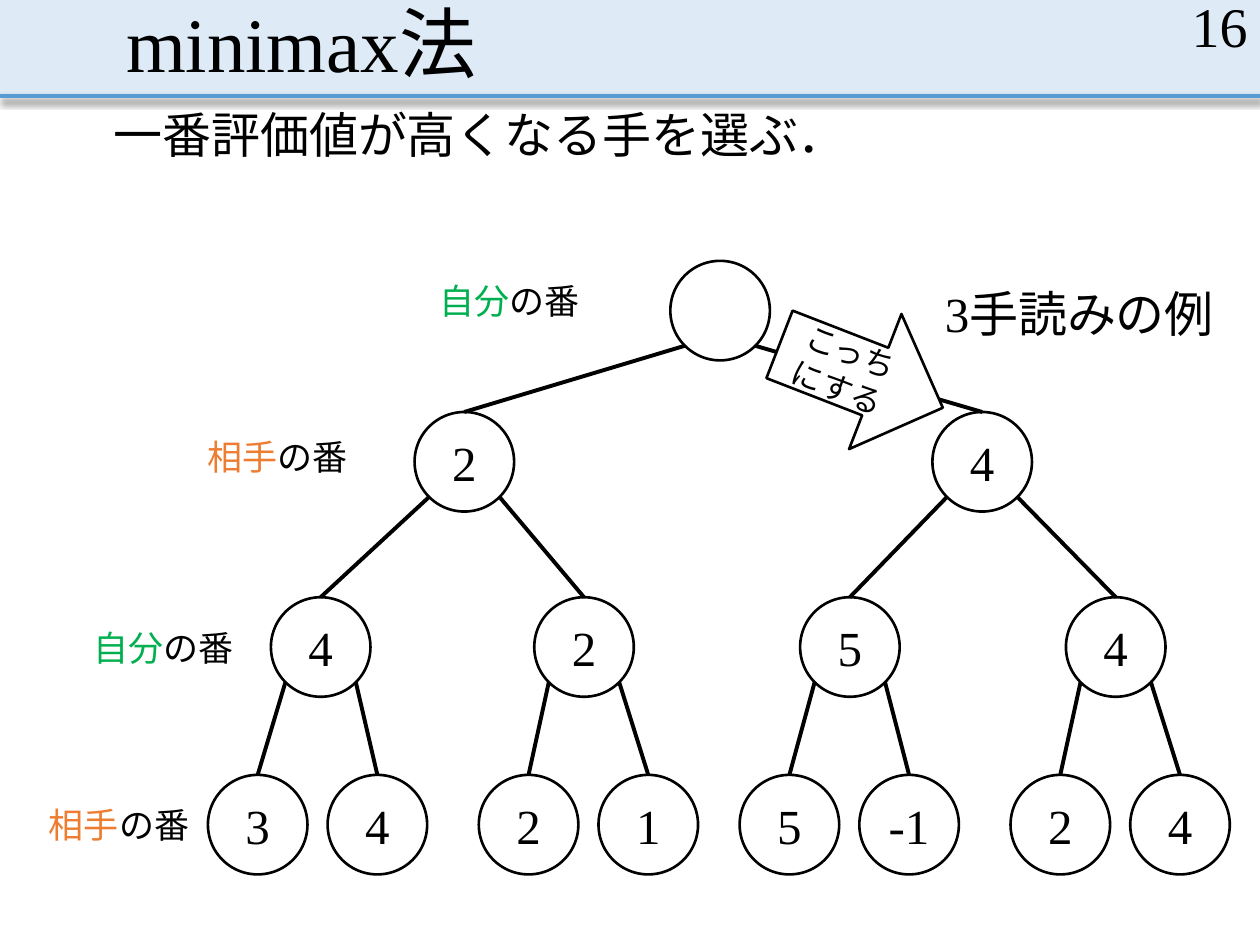
import math
from dataclasses import dataclass

from lxml import etree
from pptx import Presentation
from pptx import util as u
from pptx.dml.color import RGBColor
from pptx.enum import lang, shapes, text
from pptx.oxml import ns

BLACK = RGBColor(0x00, 0x00, 0x00)
WHITE = RGBColor(0xFF, 0xFF, 0xFF)
PALE_BLUE = RGBColor(0xDE, 0xEB, 0xF7)
BLUE = RGBColor(0x5B, 0x9B, 0xD5)
GREEN = RGBColor(0x00, 0xB0, 0x50)
ORANGE = RGBColor(0xED, 0x7D, 0x31)
FONT = "Times New Roman"
DIAMETER = 0.79
HEADER_HEIGHT = 0.76
LEAF_STEP = 0.95


@dataclass(frozen=True)
class Level:
    top: float
    lefts: list[float]
    values: list[str]


@dataclass(frozen=True)
class Turn:
    left: float
    top: float
    player: str
    color: RGBColor


LEAF_LEFTS = [left + step for left in (1.65, 3.8, 5.87, 8.02) for step in (0, LEAF_STEP)]
LEVELS = [
    Level(2.07, [5.32], [""]),
    Level(3.27, [3.29, 7.4], ["2", "4"]),
    Level(4.74, [2.15, 4.24, 6.35, 8.46], ["4", "2", "5", "4"]),
    Level(6.15, LEAF_LEFTS, ["3", "4", "2", "1", "5", "-1", "2", "4"]),
]
TURNS = [
    Turn(3.39, 2.17, "自分", GREEN),
    Turn(1.55, 3.41, "相手", ORANGE),
    Turn(0.64, 4.92, "自分", GREEN),
    Turn(0.29, 6.33, "相手", ORANGE),
]


def write(holder, *runs, size=28, align=text.PP_ALIGN.LEFT,
          anchor=text.MSO_ANCHOR.TOP, spacing=None):
    frame = holder.text_frame
    frame.word_wrap = True
    frame.auto_size = text.MSO_AUTO_SIZE.NONE
    frame.vertical_anchor = anchor
    paragraph = frame.paragraphs[0]
    paragraph.alignment = align
    paragraph.space_before = u.Pt(0)
    if spacing:
        paragraph.line_spacing = spacing
    for content, color in runs:
        run = paragraph.add_run()
        run.text = content
        run.font.name = FONT
        run.font.size = u.Pt(size)
        run.font.color.rgb = color
        run.font.language_id = lang.MSO_LANGUAGE_ID.JAPANESE
    return paragraph


def place(holder, left: float, top: float, width: float, height: float) -> None:
    holder.left, holder.top = u.Inches(left), u.Inches(top)
    holder.width, holder.height = u.Inches(width), u.Inches(height)


def add_label(slide, left: float, top: float, width: float, height: float, *runs, **style):
    box = slide.shapes.add_textbox(*map(u.Inches, (left, top, width, height)))
    write(box, *runs, **style)


def add_outlined(slide, kind, left: float, top: float, width: float, height: float,
                 content: str, size: int):
    outlined = slide.shapes.add_shape(kind, *map(u.Inches, (left, top, width, height)))
    outlined.shadow.inherit = False
    outlined.fill.solid()
    outlined.fill.fore_color.rgb = WHITE
    outlined.line.color.rgb = BLACK
    outlined.line.width = u.Pt(1.5)
    if content:
        write(outlined, (content, BLACK), size=size, align=text.PP_ALIGN.CENTER,
              anchor=text.MSO_ANCHOR.MIDDLE)
    return outlined


def add_line(slide, x1: float, y1: float, x2: float, y2: float, color: RGBColor):
    line = slide.shapes.add_connector(
        shapes.MSO_CONNECTOR.STRAIGHT, *map(u.Inches, (x1, y1, x2, y2)))
    line.line.color.rgb = color
    line.line.width = u.Pt(2.25)
    effects = etree.SubElement(line._element.spPr, ns.qn("a:effectLst"))
    return line, effects


def add_header(slide) -> None:
    title = slide.shapes.title
    band = slide.shapes.add_shape(
        shapes.MSO_SHAPE.RECTANGLE, 0, 0, u.Inches(10), u.Inches(HEADER_HEIGHT))
    band.shadow.inherit = False
    band.fill.solid()
    band.fill.fore_color.rgb = PALE_BLUE
    band.line.fill.background()
    rule, effects = add_line(slide, 0, HEADER_HEIGHT, 10, HEADER_HEIGHT, BLUE)
    shadow = etree.SubElement(
        effects, ns.qn("a:outerShdw"), blurRad=str(u.Pt(4)), dist=str(u.Pt(2.5)),
        dir="5400000", algn="t", rotWithShape="0")
    shade = etree.SubElement(shadow, ns.qn("a:srgbClr"), val=str(BLACK))
    etree.SubElement(shade, ns.qn("a:alpha"), val="47000")
    for backdrop in (band, rule):
        title._element.addprevious(backdrop._element)

    place(title, 0.9, 0, 8.25, HEADER_HEIGHT)
    write(title, ("minimax法", BLACK), size=44, anchor=text.MSO_ANCHOR.BOTTOM, spacing=0.9)
    add_label(slide, 7.75, 0, 2.25, 0.4, ("16", BLACK), size=32,
              align=text.PP_ALIGN.RIGHT, anchor=text.MSO_ANCHOR.MIDDLE)


def add_summary(slide) -> None:
    summary = slide.placeholders[1]
    place(summary, 0.9, 0.83, 8.46, 1.1)
    summary.text_frame.margin_left = summary.text_frame.margin_right = 0
    paragraph = write(summary, ("一番評価値が高くなる手を選ぶ．", BLACK), spacing=0.9)
    properties = paragraph._p.get_or_add_pPr()
    properties.set("marL", "0")
    properties.set("indent", "0")
    etree.SubElement(properties, ns.qn("a:buNone"))


def add_tree(slide) -> None:
    nodes = [
        [add_outlined(slide, shapes.MSO_SHAPE.OVAL, left, level.top, DIAMETER, DIAMETER,
                      value, 28)
         for left, value in zip(level.lefts, level.values)]
        for level in LEVELS
    ]
    radius = DIAMETER / 2
    reach = radius * math.sqrt(0.5)
    for depth, (upper, lower) in enumerate(zip(LEVELS, LEVELS[1:]), start=1):
        for index, left in enumerate(lower.lefts):
            side = 1 if index % 2 else -1
            edge, _ = add_line(
                slide, upper.lefts[index // 2] + radius + side * reach,
                upper.top + radius + reach, left + radius, lower.top, BLACK)
            edge.end_connect(nodes[depth][index], 0)


def main() -> None:
    deck = Presentation()
    deck.slide_width, deck.slide_height = u.Inches(10), u.Inches(7.5)
    slide = deck.slides.add_slide(deck.slide_layouts[1])
    add_header(slide)
    add_summary(slide)
    add_tree(slide)
    for turn in TURNS:
        add_label(slide, turn.left, turn.top, 1.36, 0.44,
                  (turn.player, turn.color), ("の番", BLACK), size=20)
    choice = add_outlined(slide, shapes.MSO_SHAPE.RIGHT_ARROW, 6.14, 2.41, 1.39, 1.15,
                          "こっちにする", 18)
    choice.rotation = 21.2
    add_label(slide, 7.4, 2.2, 2.36, 0.57, ("3手読みの例", BLACK))
    deck.save("out.pptx")


if __name__ == "__main__":
    main()
